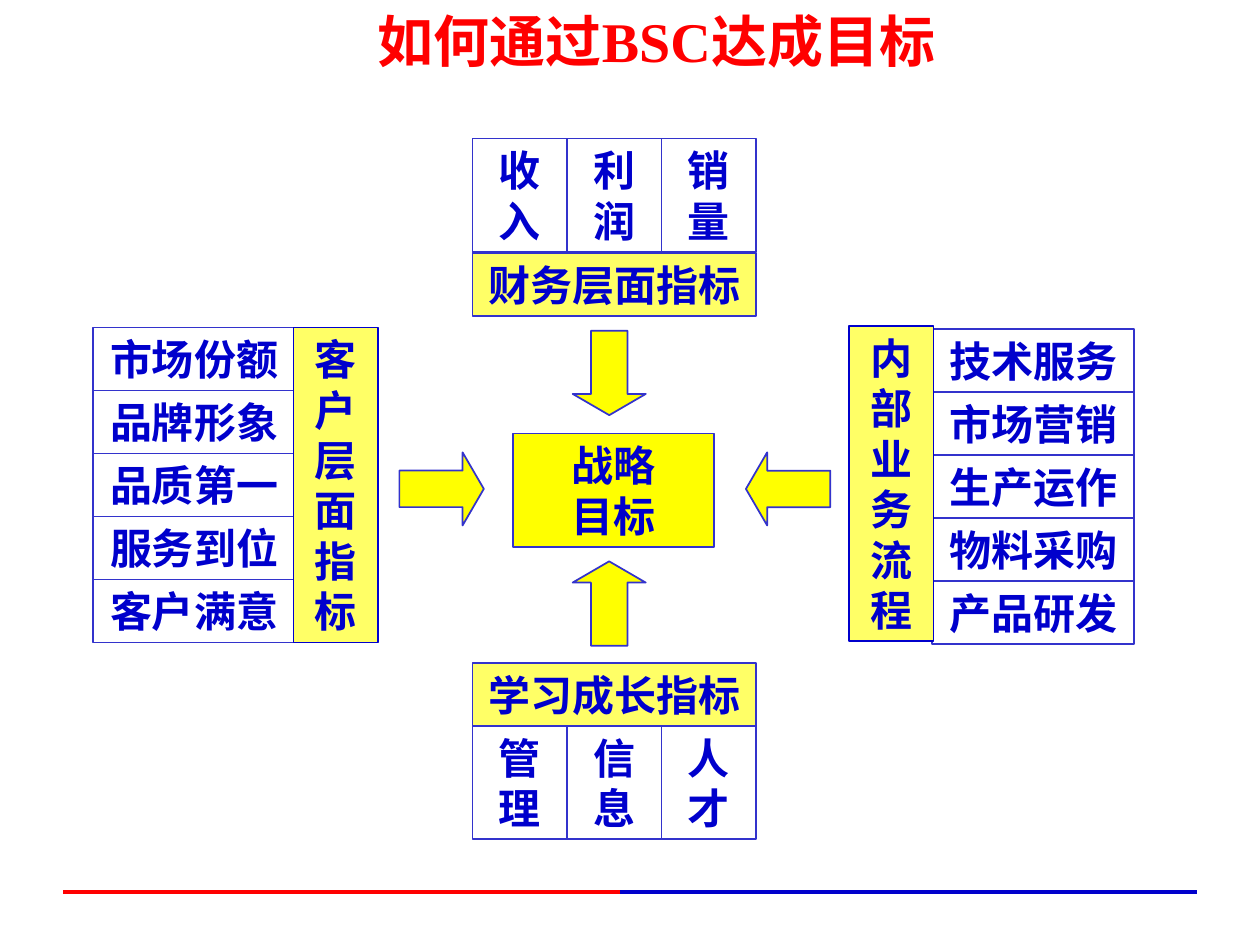
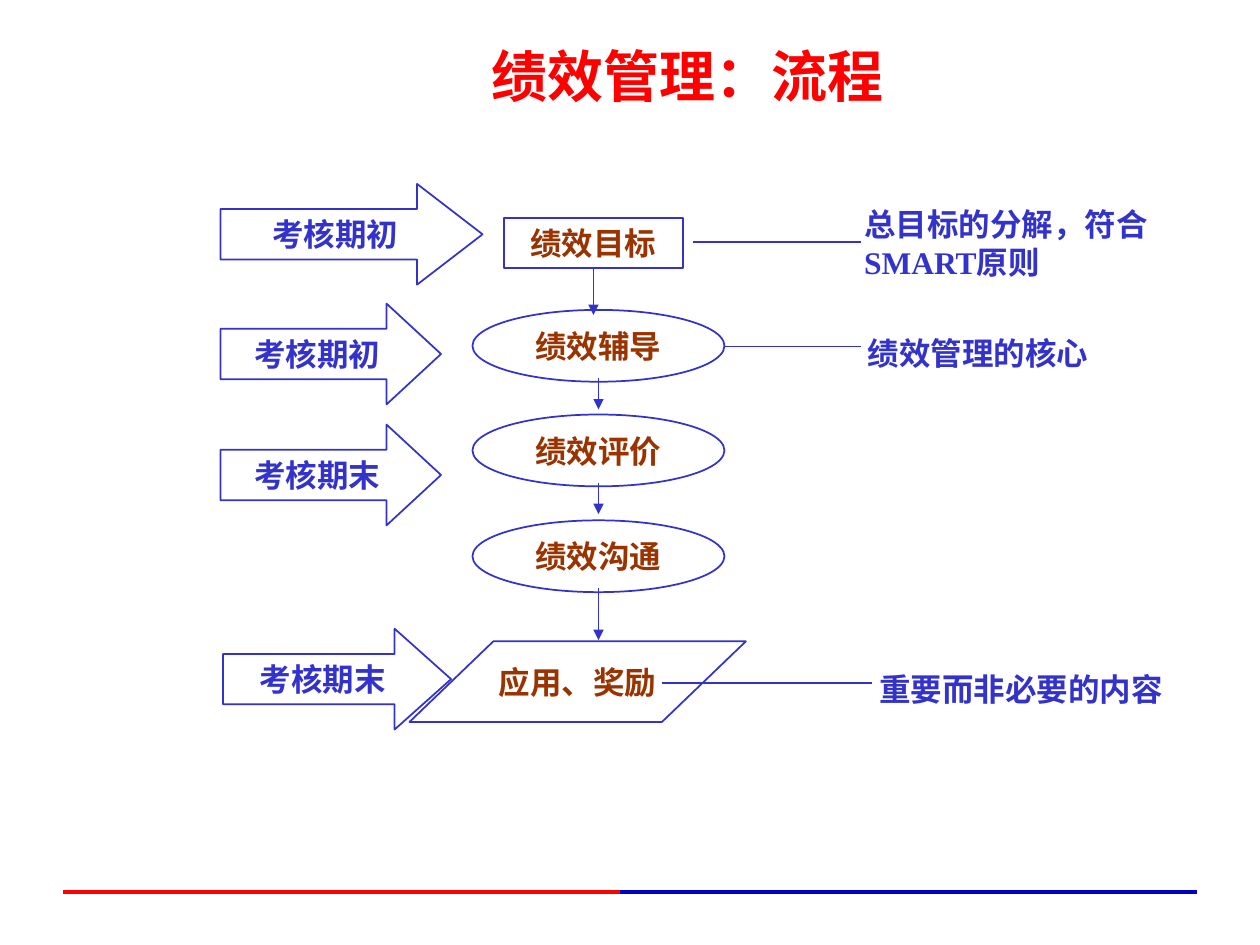
from lxml import etree
from pptx import Presentation
from pptx.dml.color import RGBColor
from pptx.enum import shapes, text
from pptx.oxml import ns
from pptx.util import Inches, Pt

RED = RGBColor(0xFF, 0x00, 0x00)
NAVY = RGBColor(0x00, 0x00, 0xCC)
BLUE = RGBColor(0x33, 0x33, 0xCC)
BROWN = RGBColor(0x99, 0x33, 0x00)
YELLOW = RGBColor(0xFF, 0xFF, 0x00)
PALE_YELLOW = RGBColor(0xFF, 0xFF, 0x66)
SHADOW_GREY = "B2B2B2"

SERIF = "Times New Roman"
TITLE_ONLY = 5
SHAPE = shapes.MSO_SHAPE
TOP = text.MSO_ANCHOR.TOP
MIDDLE = text.MSO_ANCHOR.MIDDLE
CENTER = text.PP_ALIGN.CENTER
LEFT = text.PP_ALIGN.LEFT


def write(shape, lines, size, color, font=SERIF, align=CENTER, anchor=MIDDLE, wrap=True):
    frame = shape.text_frame
    frame.word_wrap = wrap
    frame.vertical_anchor = anchor
    frame.margin_left = frame.margin_right = Inches(0.1)
    frame.margin_top = frame.margin_bottom = Inches(0.05)
    frame.text = lines
    for paragraph in frame.paragraphs:
        paragraph.alignment = align
        paragraph.font.size = Pt(size)
        paragraph.font.name = font
        paragraph.font.bold = True
        paragraph.font.color.rgb = color


def add_line(slide, start, end, color=BLUE, width=1, arrow=False):
    points = [Inches(value) for value in (*start, *end)]
    line = slide.shapes.add_connector(shapes.MSO_CONNECTOR.STRAIGHT, *points)
    line.line.color.rgb = color
    line.line.width = Pt(width)
    if arrow:
        etree.SubElement(line.line._get_or_add_ln(), ns.qn("a:tailEnd"), type="triangle")
    etree.SubElement(line._element.spPr, ns.qn("a:effectLst"))
    return line


def add_outlined(slide, kind, box, fill=None, line=BLUE, adjustments=()):
    """Add a thin-lined preset shape, hollow unless a fill is given."""
    shape = slide.shapes.add_shape(kind, *map(Inches, box))
    shape.shadow.inherit = False
    if fill is None:
        shape.fill.background()
    else:
        shape.fill.solid()
        shape.fill.fore_color.rgb = fill
    shape.line.color.rgb = line
    shape.line.width = Pt(1)
    for index, value in enumerate(adjustments):
        shape.adjustments[index] = value
    return shape


def add_cell(slide, label, box, fill=None, line=BLUE, anchor=MIDDLE):
    cell = add_outlined(slide, SHAPE.RECTANGLE, box, fill, line)
    write(cell, label, 24, NAVY, anchor=anchor)


def add_row(slide, labels, left, top):
    for index, label in enumerate(labels):
        add_cell(slide, label, (left + 0.75 * index, top, 0.75, 0.9))


def add_column(slide, labels, left, top):
    for index, label in enumerate(labels):
        add_cell(slide, label, (left, top + 0.5 * index, 1.6, 0.5))


def add_note(slide, lines, box):
    note = slide.shapes.add_textbox(*map(Inches, box))
    write(note, lines, 18, BLUE, align=LEFT, anchor=TOP, wrap=False)


def add_text_shadow(shape):
    for run in shape.text_frame.paragraphs[0].runs:
        effects = etree.SubElement(run._r.get_or_add_rPr(), ns.qn("a:effectLst"))
        shadow = etree.SubElement(effects, ns.qn("a:outerShdw"), dist="35921", dir="2700000")
        etree.SubElement(shadow, ns.qn("a:srgbClr"), val=SHADOW_GREY)


def add_slide(presentation, title, box, font=SERIF):
    """Add a slide with its red title and the two-coloured footer rule."""
    slide = presentation.slides.add_slide(presentation.slide_layouts[TITLE_ONLY])
    add_line(slide, (0.5, 7.08), (4.92, 7.08), RED, 2.25)
    add_line(slide, (4.92, 7.08), (9.5, 7.08), NAVY, 2.25)
    heading = slide.shapes.title
    heading.left, heading.top, heading.width, heading.height = map(Inches, box)
    write(heading, title, 32, RED, font, anchor=TOP)
    return slide


def build_scorecard(presentation):
    slide = add_slide(presentation, "如何通过BSC达成目标", (0.42, 0, 9.58, 0.64))

    add_column(slide, ["市场份额", "品牌形象", "品质第一", "服务到位", "客户满意"], 0.74, 2.6)
    add_column(slide, ["技术服务", "市场营销", "生产运作", "物料采购", "产品研发"], 7.4, 2.61)
    add_row(slide, ["收入", "利润", "销量"], 3.75, 1.1)
    add_row(slide, ["管理", "信息", "人才"], 3.75, 5.76)

    for label, left, top in [("客户层面指标", 2.33, 2.6), ("内部业务流程", 6.74, 2.59)]:
        add_cell(slide, label, (left, top, 0.67, 2.5), PALE_YELLOW, NAVY, TOP)
    for label, top in [("财务层面指标", 2.01), ("学习成长指标", 5.26)]:
        add_cell(slide, label, (3.75, top, 2.25, 0.5), PALE_YELLOW)
    add_cell(slide, "战略\n目标", (4.07, 3.44, 1.6, 0.9), YELLOW)

    inward_arrows = [(3.17, 3.59, 0), (5.92, 3.59, 180), (4.5, 2.67, 90), (4.5, 4.5, 270)]
    for left, top, rotation in inward_arrows:
        arrow = add_outlined(slide, SHAPE.RIGHT_ARROW, (left, top, 0.67, 0.58),
                             YELLOW, adjustments=(0.5, 0.29))
        arrow.rotation = rotation


def build_process(presentation):
    slide = add_slide(presentation, "绩效管理：流程", (2, 0.17, 6.92, 0.74), "Arial")
    slide.shapes.title.text_frame.paragraphs[0].line_spacing = 1.2
    add_text_shadow(slide.shapes.title)

    steps = [
        ("绩效目标", SHAPE.RECTANGLE, (4, 1.73, 1.5 - 0.08, 0.4), ()),
        ("绩效辅导", SHAPE.OVAL, (3.75, 2.46, 2, 0.57), ()),
        ("绩效评价", SHAPE.OVAL, (3.75, 3.29, 2, 0.57), ()),
        ("绩效沟通", SHAPE.OVAL, (3.75, 4.13, 2, 0.57), ()),
        ("应用、奖励", SHAPE.PARALLELOGRAM, (3.25, 5.09, 2.67, 0.64), (1.04,)),
    ]
    step_shapes = []
    for label, kind, box, adjustments in steps:
        step = add_outlined(slide, kind, box, adjustments=adjustments)
        write(step, label, 18, BROWN)
        step_shapes.append(step)

    flow = [add_line(slide, (4.75, start), (4.75, end), arrow=True)
            for start, end in [(2.13, 2.5), (3, 3.25), (3.83, 4.08), (4.67, 5.08)]]
    flow[0].begin_connect(step_shapes[0], 2)
    flow[0].end_x = Inches(4.71)

    phases = [
        ("考核期初", 1.75, 1.46, 2.08, 0.65),
        ("考核期初", 1.75, 2.41, 1.75, 0.54),
        ("考核期末", 1.75, 3.37, 1.75, 0.54),
        ("考核期末", 1.77, 4.99, 1.81, 0.56),
    ]
    for label, left, top, width, head in phases:
        phase = add_outlined(slide, SHAPE.RIGHT_ARROW, (left, top, width, 0.8),
                             adjustments=(0.5, head))
        write(phase, label, 18, BLUE)

    add_note(slide, "总目标的分解，符合\nSMART原则", (6.76, 1.58, 2.45, 0.7))
    add_note(slide, "绩效管理的核心", (6.79, 2.6, 1.95, 0.4))
    add_note(slide, "重要而非必要的内容", (6.88, 5.27, 2.45, 0.4))
    for start, end, y in [(5.5, 6.83, 1.92), (5.75, 6.83, 2.75), (5.25, 6.92, 5.42)]:
        add_line(slide, (start, y), (end, y))


def main():
    presentation = Presentation()
    presentation.slide_width = Inches(10)
    presentation.slide_height = Inches(7.5)
    build_scorecard(presentation)
    build_process(presentation)
    presentation.save("out.pptx")


if __name__ == "__main__":
    main()
